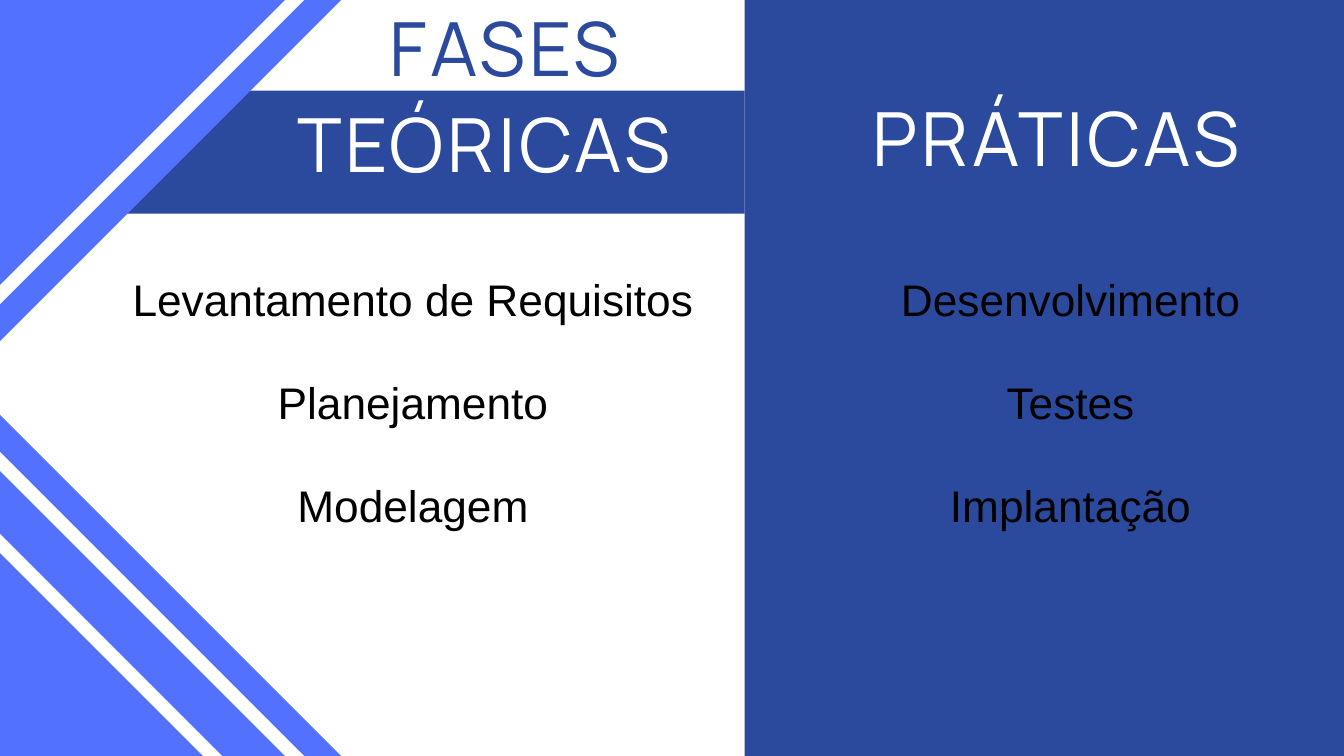
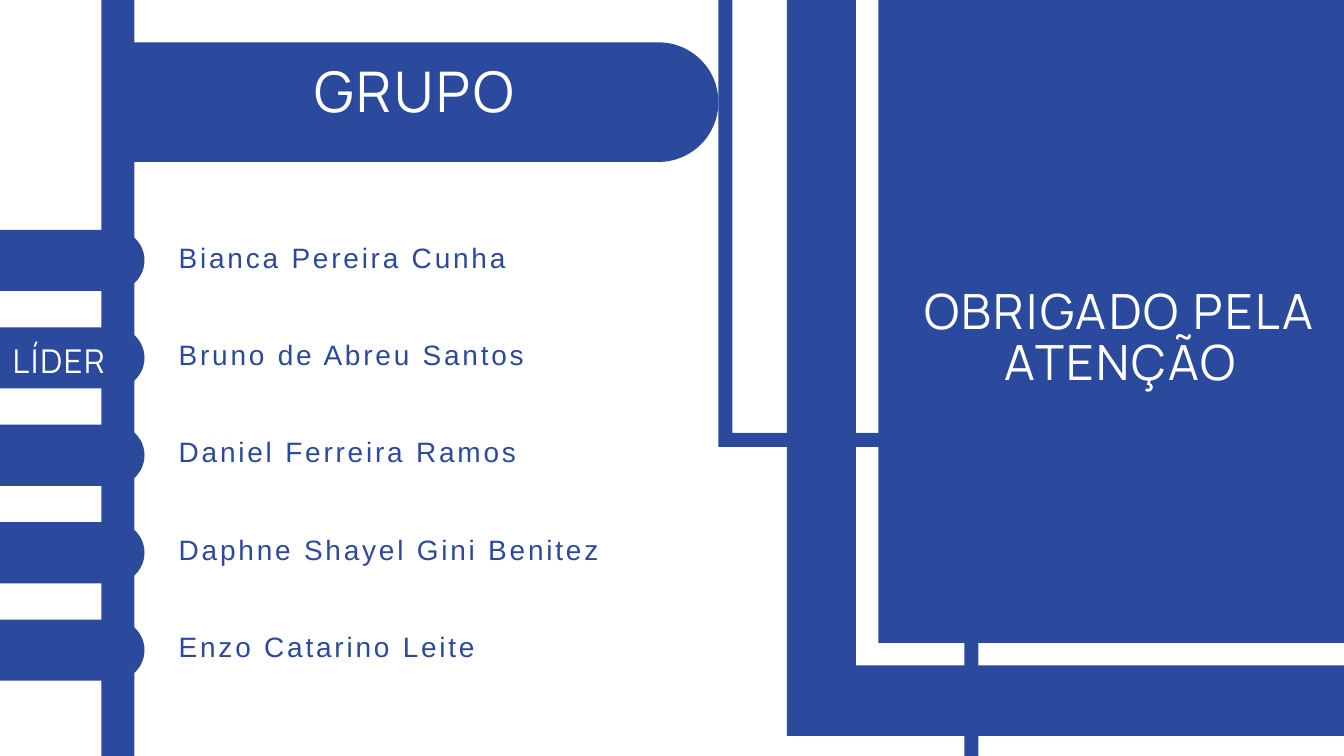
from dataclasses import dataclass

from pptx import Presentation
from pptx.dml.color import RGBColor
from pptx.enum.shapes import MSO_SHAPE
from pptx.enum.text import MSO_AUTO_SIZE, PP_ALIGN
from pptx.util import Inches, Pt


@dataclass(frozen=True)
class TextStyle:
    size: float
    line: float
    font: str
    color: RGBColor
    tracking: float = 0
    align: PP_ALIGN = PP_ALIGN.CENTER


class Theme:
    navy = RGBColor(0x2B, 0x4A, 0x9D)
    bright = RGBColor(0x52, 0x71, 0xFF)
    white = RGBColor(0xFF, 0xFF, 0xFF)
    black = RGBColor(0, 0, 0)
    heading, body = "Manrope", "Arial"

    title = TextStyle(80, 84, heading, navy, 4)
    column_title = TextStyle(80, 84, heading, white, 4)
    phase = TextStyle(47.4, 66.4, body, black)
    group_title = TextStyle(60, 63, heading, white, 3)
    member = TextStyle(30, 42, body, navy, 3, PP_ALIGN.LEFT)
    thanks = TextStyle(52, 54.6, heading, white, 2.6)
    role = TextStyle(35.1, 36.9, heading, white, 1.8)


@dataclass(frozen=True)
class Box:
    left: float
    top: float
    width: float
    height: float

    @property
    def center(self):
        return self.left + self.width / 2, self.top + self.height / 2

    def inner(self, left, top, width, height):
        """Box whose place is given from this box's top left corner."""
        return Box(self.left + left, self.top + top, width, height)

    def inches(self):
        return [Inches(n) for n in (self.left, self.top, self.width, self.height)]


def centered_box(x, y, width, height):
    return Box(x - width / 2, y - height / 2, width, height)


SLIDE = Box(0, 0, 20, 11.25)


def add_block(page, box, color, kind=MSO_SHAPE.RECTANGLE, rotation=0):
    block = page.shapes.add_shape(kind, *box.inches())
    block.rotation = rotation
    block.shadow.inherit = False
    block.fill.solid()
    block.fill.fore_color.rgb = color
    block.line.fill.background()
    return block


def add_frame(page, box, color, thickness, rotation=0):
    frame = add_block(page, box, color, MSO_SHAPE.FRAME, rotation)
    frame.adjustments[0] = thickness / min(box.width, box.height)


def add_tab(page, box):
    """Bar with a fully rounded right end, drawn as a turned upright shape."""
    upright = centered_box(*box.center, box.height, box.width)
    tab = add_block(page, upright, Theme.navy, MSO_SHAPE.ROUND_2_SAME_RECTANGLE, 90)
    tab.adjustments[0] = 0.5
    tab.adjustments[1] = 0


def add_text(page, box, text, style):
    frame = page.shapes.add_textbox(*box.inches()).text_frame
    frame.margin_left = frame.margin_right = frame.margin_top = frame.margin_bottom = 0
    frame.word_wrap = True
    frame.auto_size = MSO_AUTO_SIZE.SHAPE_TO_FIT_TEXT
    frame.text = text
    para = frame.paragraphs[0]
    para.alignment = style.align
    para.line_spacing = Pt(style.line)
    span = para.runs[0]
    span.font.size = Pt(style.size)
    span.font.name = style.font
    span.font.color.rgb = style.color
    if style.tracking:
        span.font._element.set("spc", str(round(style.tracking * 100)))


def add_page(deck):
    page = deck.slides.add_slide(deck.slide_layouts[6])
    page.background.fill.solid()
    page.background.fill.fore_color.rgb = Theme.white
    return page


def add_corner_diamond(page, box):
    add_block(page, box, Theme.bright, rotation=45)
    add_frame(page, centered_box(*box.center, 6.4, 6.4), Theme.white, 0.2, 45)


def add_phases(page, box, phases):
    """Centred phase names, one every 1.53 inches; each comes with its width."""
    x = box.center[0]
    for row, (phase, width) in enumerate(phases):
        line = Box(x - width / 2, box.top + 1.53 * row, width, 1)
        add_text(page, line, phase, Theme.phase)


def add_theory_column(page, box):
    add_block(page, box.inner(0.18, 1.35, 10.9, 1.83), Theme.navy)
    for y in (0, 11.25, 12.47):
        add_corner_diamond(page, centered_box(box.left, box.top + y, 7.18, 7.18))
    add_text(page, box.inner(2.46, 0.2, 10.1, 1.3), "FASES", Theme.title)
    add_text(page, box.inner(4.05, 1.63, 6.31, 1.3), "TEÓRICAS", Theme.column_title)
    add_phases(page, box.inner(1.66, 3.92, 8.97, 4.06), [
        ("Levantamento de Requisitos", 8.97),
        ("Planejamento", 5.03),
        ("Modelagem", 4.18),
    ])


def add_practice_column(page, box):
    add_block(page, box, Theme.navy)
    add_text(page, box.inner(1.48, 1.53, 6.31, 1.3), "PRÁTICAS", Theme.column_title)
    add_phases(page, box.inner(1.91, 3.92, 5.88, 4.06), [
        ("Desenvolvimento", 5.88),
        ("Testes", 2.96),
        ("Implantação", 4.4),
    ])


def add_thanks_panel(page, box):
    add_block(page, box, Theme.navy)
    add_frame(page, box.inner(1.03, -0.16, 10.27, 10.27), Theme.white, 0.33)
    add_frame(page, box.inner(2.64, 8.13, 9.7, 6.74), Theme.navy, 0.21)
    add_frame(page, box.inner(-1.02, -0.76, 6.74, 7.62), Theme.navy, 0.21)
    add_text(page, box.inner(1.63, 4.5, 6.66, 1.59), "OBRIGADO PELA ATENÇÃO", Theme.thanks)


def add_group_title(page, box):
    add_tab(page, box)
    add_text(page, box.inner(0.33, 0.33, 7.68, 0.98), "GRUPO", Theme.group_title)


def add_members(page, box, members, leader):
    pitch = 1.45
    for row, member in enumerate(members):
        line = box.inner(0, pitch * row, 2.15, 0.91)
        add_tab(page, line)
        add_text(page, line.inner(2.66, 0.07, 8.03, 0.64), member, Theme.member)
    leader_line = box.inner(-1.17, pitch * members.index(leader) + 0.27, 4.09, 0.53)
    add_text(page, leader_line, "LÍDER", Theme.role)


def build_phases_slide(deck):
    page = add_page(deck)
    split = 11.08
    add_theory_column(page, SLIDE.inner(0, 0, split, SLIDE.height))
    add_practice_column(page, SLIDE.inner(split, 0, SLIDE.width - split, SLIDE.height))


def build_group_slide(deck):
    page = add_page(deck)
    add_block(page, SLIDE.inner(1.51, 0, 0.49, SLIDE.height), Theme.navy)
    add_thanks_panel(page, SLIDE.inner(11.71, -0.21, 11.13, 11.16))
    add_group_title(page, SLIDE.inner(1.99, 0.63, 8.7, 1.78))
    members = [
        "Bianca Pereira Cunha",
        "Bruno de Abreu Santos",
        "Daniel Ferreira Ramos",
        "Daphne Shayel Gini Benitez",
        "Enzo Catarino Leite",
    ]
    add_members(page, SLIDE.inner(0, 3.42, 10.69, 6.71), members, "Bruno de Abreu Santos")


def main():
    deck = Presentation()
    deck.slide_width = Inches(SLIDE.width)
    deck.slide_height = Inches(SLIDE.height)
    build_phases_slide(deck)
    build_group_slide(deck)
    deck.save("out.pptx")


if __name__ == "__main__":
    main()
